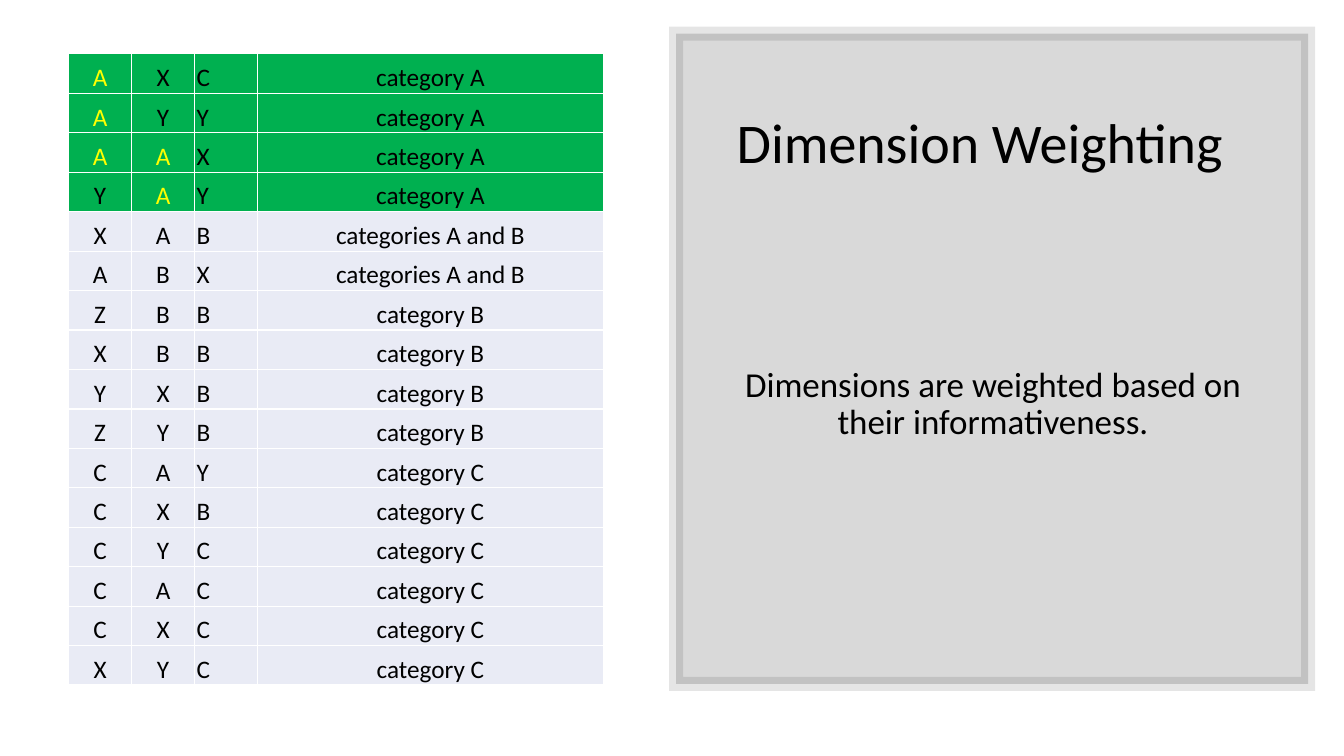
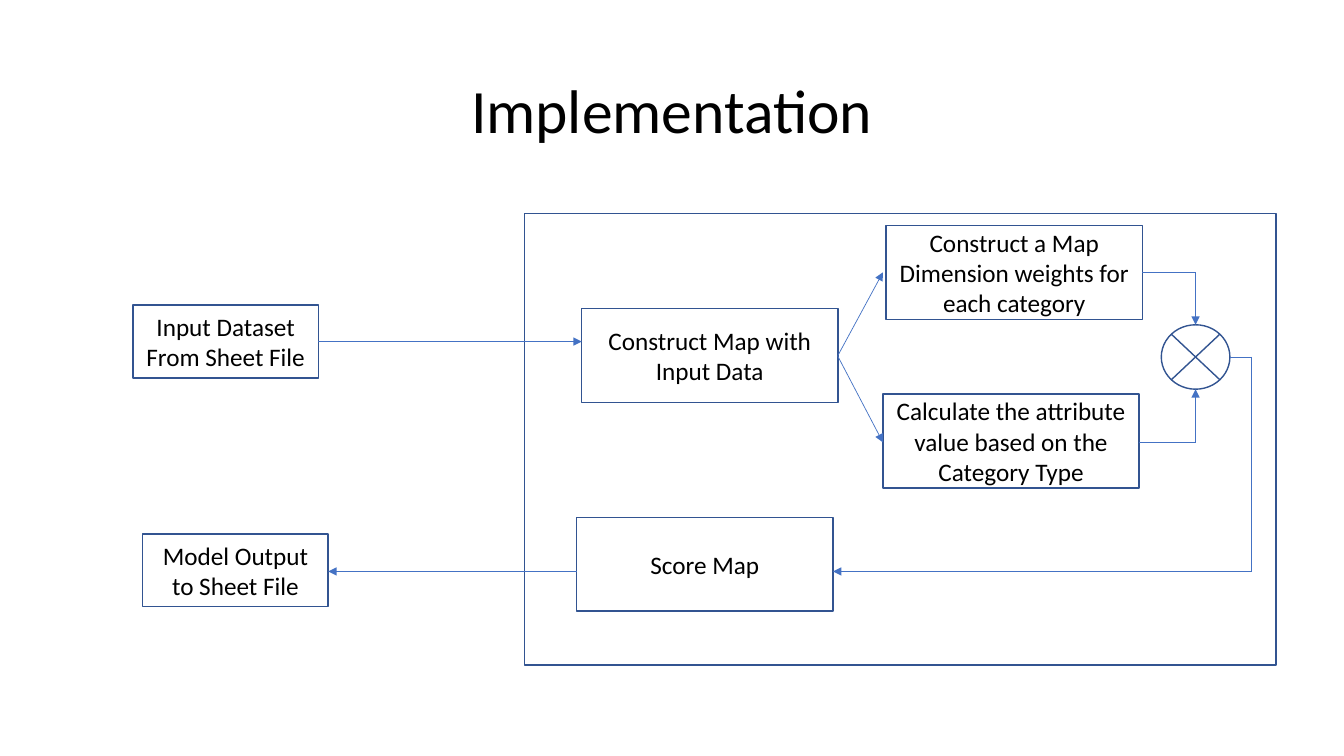
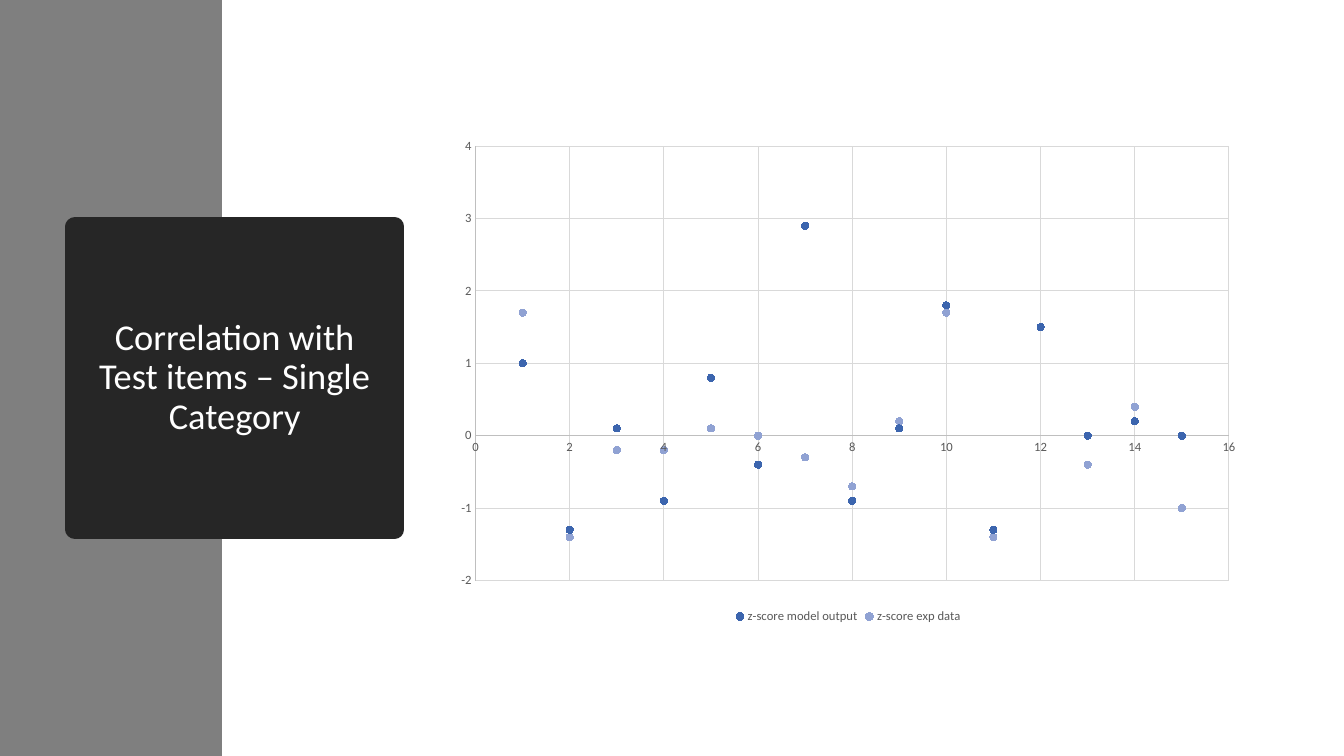
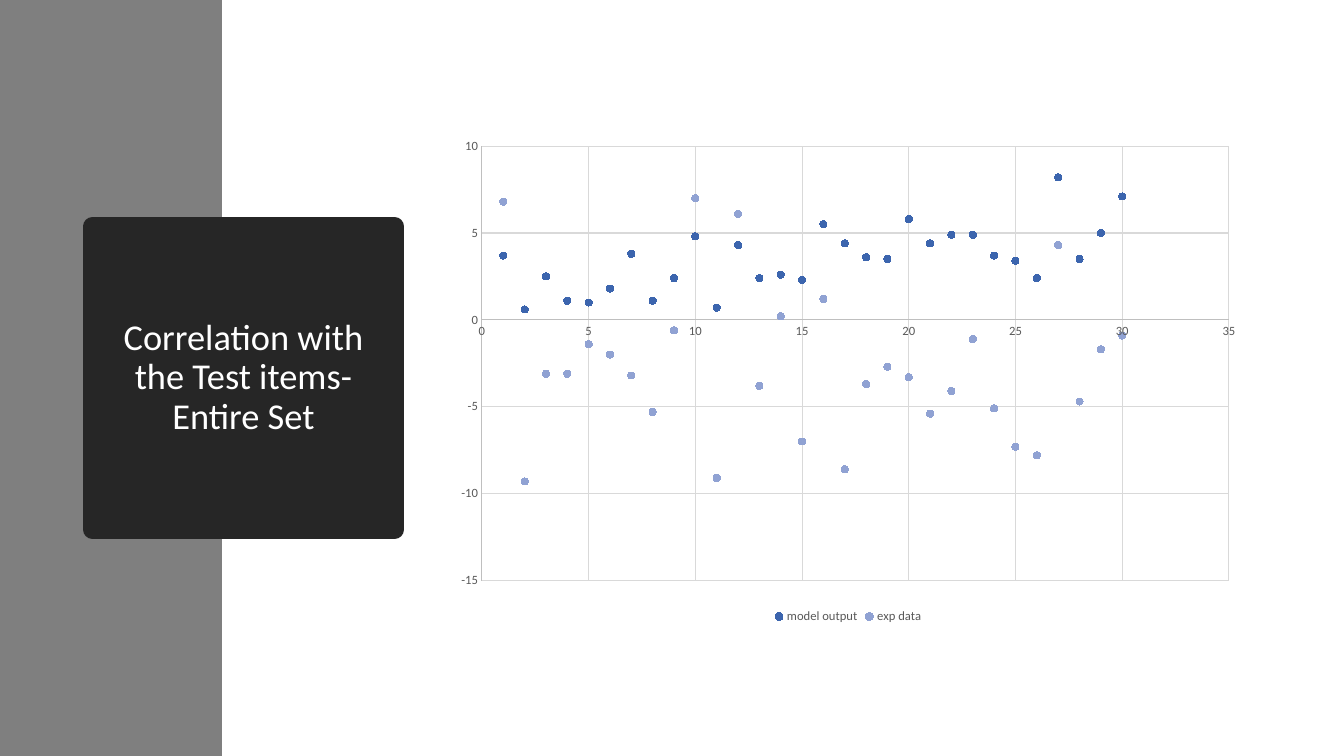
from pptx import Presentation
from pptx import util as u
from pptx.chart import data as cd
from pptx.dml import color as dc
from pptx.enum import chart as ec
from pptx.enum import shapes as es
from pptx.enum import text as et
from pptx.oxml import ns, xmlchemy as xc
from lxml import etree

Pt = u.Pt
FONT = "Calibri"
HEX = {
    "ink": "000000", "white": "FFFFFF", "green": "00B050", "pale": "E9EBF5",
    "mark": "FFFF00", "edge": "325491", "arrow": "4472C4", "band": "7F7F7F",
    "dark": "262626", "label": "595959", "axis": "BFBFBF", "grid": "D9D9D9",
    "model": "3C65AE", "exp": "90A2D3",
}
WIDE, HIGH = 960, 540
ROWS = [
    "AXC", "AYY", "AAX", "YAY", "XAB", "ABX", "ZBB", "XBB",
    "YXB", "ZYB", "CAY", "CXB", "CYC", "CAC", "CXC", "XYC",
]
KINDS = (["category A"] * 4 + ["categories A and B"] * 2
         + ["category B"] * 4 + ["category C"] * 6)


def rgb(name):
    return dc.RGBColor.from_string(HEX[name])


def paint(fill, name):
    fill.solid()
    fill.fore_color.rgb = rgb(name)


def stroke(line, name, width):
    paint(line.fill, name)
    line.width = Pt(width)


def fade(part, percent):
    tone = next(part.iter(ns.qn("a:srgbClr")))
    etree.SubElement(tone, ns.qn("a:alpha"), val=str(percent * 1000))


def style(font, size, name):
    font.name = FONT
    font.size = Pt(size)
    font.color.rgb = rgb(name)


def write(frame, words, size, name="ink", gap=None):
    frame.word_wrap = True
    frame.auto_size = et.MSO_AUTO_SIZE.NONE
    frame.vertical_anchor = et.MSO_ANCHOR.MIDDLE
    frame.text = words
    for para in frame.paragraphs:
        para.alignment = et.PP_ALIGN.CENTER
        para.line_spacing = gap
        style(para.font, size, name)


def place(box):
    return [Pt(n) for n in box]


def block(slide, box, fill, line=None, width=1, kind="RECTANGLE"):
    shape = slide.shapes.add_shape(es.MSO_SHAPE[kind], *place(box))
    shape.shadow.inherit = False
    paint(shape.fill, fill)
    if line:
        stroke(shape.line, line, width)
    else:
        shape.line.fill.background()
    return shape


def head(slide, box, words, size, name="ink"):
    title = slide.shapes.title
    title.left, title.top, title.width, title.height = place(box)
    write(title.text_frame, words, size, name, 0.9)
    slide.shapes._spTree.append(title._element)
    return title


def panel(slide, x, y, w, h):
    back = block(slide, (x, y, w, h), "ink", "ink", 10)
    fade(back.fill._xPr.find(ns.qn("a:solidFill")), 15)
    edge = back.line._ln
    fade(edge, 10)
    etree.SubElement(edge, ns.qn("a:miter"), lim="800000")
    head(slide, (x + 11, y + 26.5, w - 40, 106), "Dimension Weighting", 40)
    note = slide.shapes.add_textbox(*place((x + 20, y + 143, w - 39, 244)))
    write(note.text_frame,
          "Dimensions are weighted based on their informativeness.",
          25, gap=0.9)


def border(cell):
    props = cell._tc.get_or_add_tcPr()
    for spot, side in enumerate(("lnL", "lnR", "lnT", "lnB")):
        line = etree.Element(ns.qn("a:" + side), w=str(Pt(1)))
        fill = etree.SubElement(line, ns.qn("a:solidFill"))
        etree.SubElement(fill, ns.qn("a:srgbClr"), val=HEX["white"])
        props.insert(spot, line)


def grid(slide, x, y, w, h):
    table = slide.shapes.add_table(len(ROWS), 4, *place((x, y, w, h))).table
    table.first_row = table.horz_banding = False
    slim = 45
    for col, wide in zip(table.columns, (slim, slim, slim, w - 3 * slim)):
        col.width = Pt(wide)
    for r, (keys, kind) in enumerate(zip(ROWS, KINDS)):
        table.rows[r].height = Pt(h / len(ROWS))
        hit = kind == "category A"
        for c, word in enumerate([*keys, kind]):
            cell = table.cell(r, c)
            paint(cell.fill, "green" if hit else "pale")
            border(cell)
            cell.vertical_anchor = et.MSO_ANCHOR.BOTTOM
            cell.margin_left = cell.margin_right = cell.margin_top = Pt(1.4)
            cell.margin_bottom = 0
            cell.text = word
            para = cell.text_frame.paragraphs[0]
            para.alignment = et.PP_ALIGN.LEFT if c == 2 else et.PP_ALIGN.CENTER
            style(para.font, 18, "mark" if hit and word == "A" else "ink")


def route(slide, x, y, *dots):
    last = len(dots) - 2
    for n, (start, end) in enumerate(zip(dots, dots[1:])):
        ends = place((x + start[0], y + start[1], x + end[0], y + end[1]))
        wire = slide.shapes.add_connector(es.MSO_CONNECTOR.STRAIGHT, *ends)
        stroke(wire.line, "arrow", 0.5)
        if n == last:
            etree.SubElement(wire.line._ln, ns.qn("a:tailEnd"),
                             type="triangle")
        etree.SubElement(wire._element.spPr, ns.qn("a:effectLst"))


def flow(slide, x, y, w, h):
    small, large = (132.5, 52), (183, 67)
    block(slide, (x + 279.5, y, w - 279.5, h), "white", "edge")
    steps = [
        (0, 65.5, small, "Input Dataset\nFrom Sheet File"),
        (7, 229, small, "Model Output to Sheet File"),
        (320.5, 68, large, "Construct Map with Input Data"),
        (538, 8.8, large,
         "Construct a Map Dimension weights for each category"),
        (535.7, 129, large,
         "Calculate the attribute value based on the Category Type"),
        (317, 217, large, "Score Map"),
    ]
    for left, top, size, words in steps:
        step = block(slide, (x + left, y + top, *size), "white", "edge")
        write(step.text_frame, words, 18)
    block(slide, (x + 734.5, y + 79.5, 49, 46), "white", "edge",
          kind="FLOWCHART_SUMMING_JUNCTION")
    high, low, base, mid = 42, 163.5, 255.7, 759
    for dots in (
        [(132.5, 91.5), (320.5, 91.5)],
        [(317, base), (139.5, base)],
        [(503.5, 101.5), (535.7, high)],
        [(503.5, 102), (535.7, low)],
        [(721, high), (mid, high), (mid, 79.5)],
        [(718.7, low), (mid, low), (mid, 125.5)],
        [(783.5, 102.5), (799.2, 102.5), (799.2, base), (500, base)],
    ):
        route(slide, x, y, *dots)


def side(slide, left, words):
    block(slide, (0, 0, 158.5, HIGH), "band")
    title = head(slide, (left, 162, 282 - left, 216), words, 26, "white")
    paint(title.fill, "dark")
    stroke(title.line, "dark", 13.75)


def scale(axis, low, high, step):
    axis.minimum_scale, axis.maximum_scale = low, high
    axis.major_unit = step
    axis.major_tick_mark = axis.minor_tick_mark = ec.XL_TICK_MARK.NONE
    axis.has_major_gridlines = True
    stroke(axis.major_gridlines.format.line, "grid", 0.75)
    stroke(axis.format.line, "axis", 0.75)
    style(axis.tick_labels.font, 9, "label")


def plot(slide, box, sets, across, up):
    data = cd.XyChartData()
    for name, vals in sets.items():
        row = data.add_series(name)
        for x, y in enumerate(vals, 1):
            row.add_data_point(x, y)
    chart = slide.shapes.add_chart(ec.XL_CHART_TYPE.XY_SCATTER,
                                   *place(box), data).chart
    style(chart.font, 10, "ink")
    chart.has_title = False
    chart.has_legend = True
    chart.legend.position = ec.XL_LEGEND_POSITION.BOTTOM
    chart.legend.include_in_layout = False
    style(chart.legend.font, 9, "label")
    scale(chart.category_axis, *across)
    scale(chart.value_axis, *up)
    chart.plots[0].vary_by_categories = False
    for row, name in zip(chart.plots[0].series, ("model", "exp")):
        row.smooth = False
        row.format.line.fill.background()
        row.marker.style = ec.XL_MARKER_STYLE.CIRCLE
        row.marker.size = 5
        paint(row.marker.format.fill, name)
        stroke(row.marker.format.line, name, 0.75)


def main():
    deck = Presentation()
    deck.slide_width, deck.slide_height = Pt(WIDE), Pt(HIGH)

    def fresh():
        return deck.slides.add_slide(deck.slide_layouts[5])

    slide = fresh()
    panel(slide, 483, 24, 451.5, 464.5)
    grid(slide, 49, 38.5, 382, 451.2)

    slide = fresh()
    head(slide, (66, 29, 828, 104.5), "Implementation", 44)
    flow(slide, 95, 152.5, 816.5, 322.5)

    area = (318, 92, 576, 356.5)
    slide = fresh()
    side(slide, 53.5, "Correlation with Test items – Single Category")
    plot(slide, area, {
        "z-score model output": [
            1, -1.3, 0.1, -0.9, 0.8, -0.4, 2.9, -0.9, 0.1, 1.8, -1.3, 1.5,
            0, 0.2, 0],
        "z-score exp data": [
            1.7, -1.4, -0.2, -0.2, 0.1, 0, -0.3, -0.7, 0.2, 1.7, -1.4, 1.5,
            -0.4, 0.4, -1],
    }, (0, 16, 2), (-2, 4, 1))

    slide = fresh()
    side(slide, 66, "Correlation with the Test items- Entire Set")
    plot(slide, area, {
        "model output": [
            3.7, 0.6, 2.5, 1.1, 1, 1.8, 3.8, 1.1, 2.4, 4.8, 0.7, 4.3, 2.4,
            2.6, 2.3, 5.5, 4.4, 3.6, 3.5, 5.8, 4.4, 4.9, 4.9, 3.7, 3.4, 2.4,
            8.2, 3.5, 5, 7.1],
        "exp data": [
            6.8, -9.3, -3.1, -3.1, -1.4, -2, -3.2, -5.3, -0.6, 7, -9.1, 6.1,
            -3.8, 0.2, -7, 1.2, -8.6, -3.7, -2.7, -3.3, -5.4, -4.1, -1.1,
            -5.1, -7.3, -7.8, 4.3, -4.7, -1.7, -0.9],
    }, (0, 35, 5), (-15, 10, 5))

    deck.save("out.pptx")


if __name__ == "__main__":
    main()
